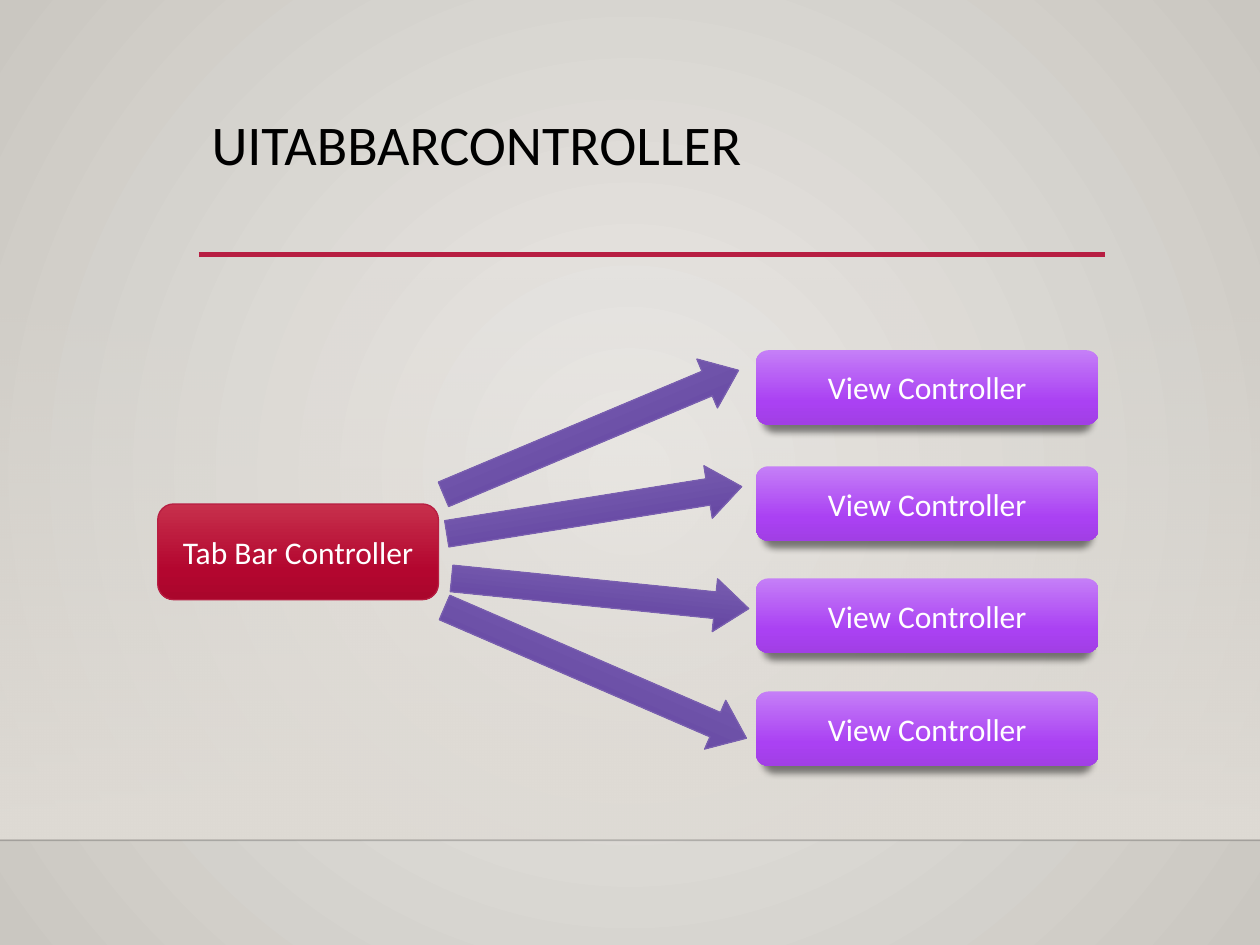
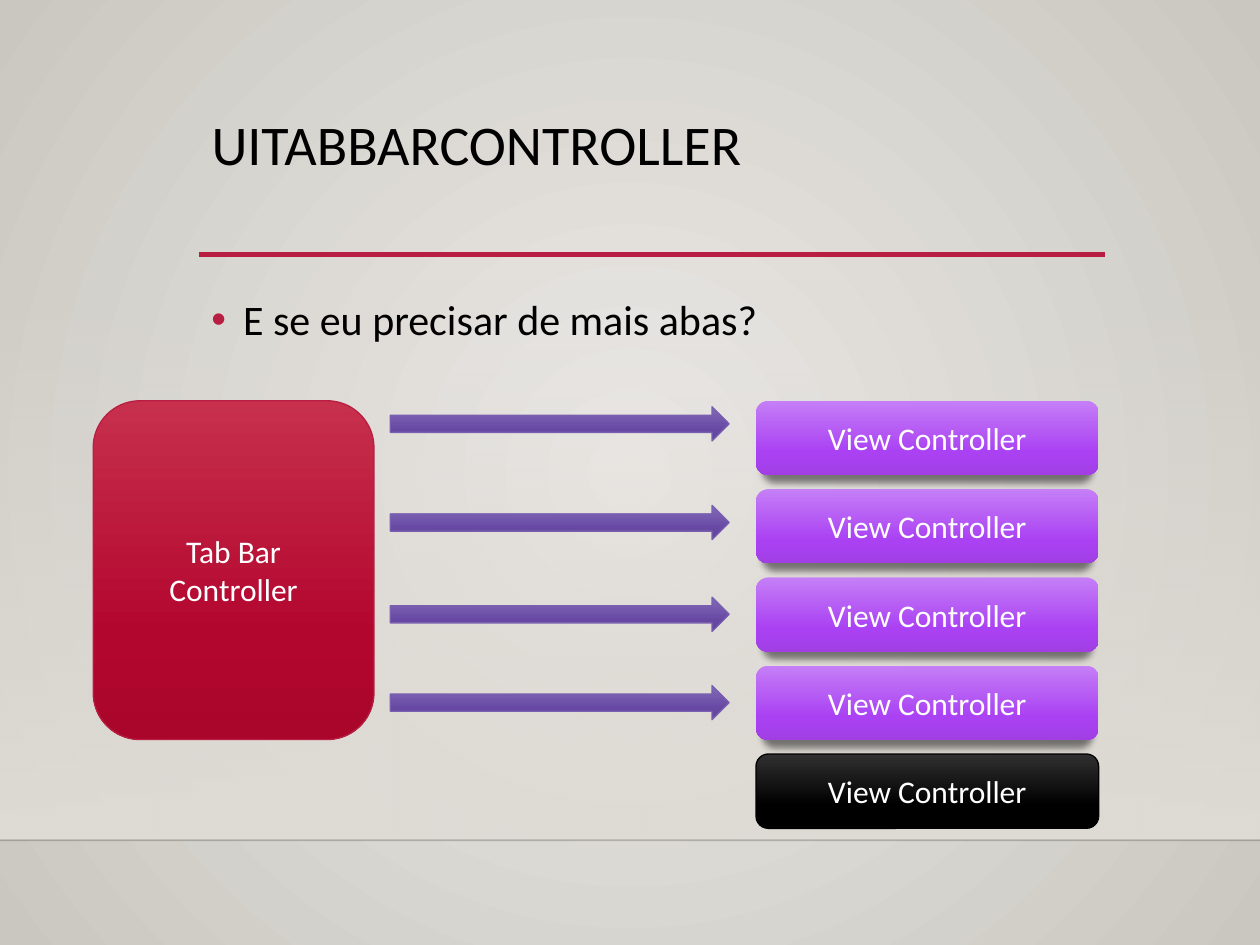
from dataclasses import dataclass

from pptx import Presentation
from pptx import util as u
from pptx.dml.color import RGBColor
from pptx.enum import shapes, text
from pptx.oxml import ns, parse_xml


@dataclass(frozen=True)
class Theme:
    font: str = "Calibri"
    ink: str = "000000"
    paper: str = "FFFFFF"
    accent: str = "B71E42"
    arrow_edge: str = "795FAF"
    floor: str = "000001"
    backdrop: tuple = ((0, "ECEAE7"), (100, "CAC7C1"))
    band: tuple = ((0, "DFDBD5", 0), (100, "DFDBD5"))
    red: tuple = ((0, "C7304C"), (69, "B3062F"), (100, "AA062C"))
    purple: tuple = ((0, "C57FF7"), (69, "AA41F3"), (100, "A13FE5"))
    violet: tuple = ((0, "836AB8"), (69, "6648A3"), (100, "60459A"))
    black: tuple = ((0, "303030"), (69, "000000"), (100, "000000"))
    title_size: int = 32
    body_size: int = 24
    label_size: int = 18


DOWN = '<a:lin ang="5400000" scaled="0"/>'
FROM_CENTRE = ('<a:path path="circle"><a:fillToRect l="50000" t="50000" '
               'r="50000" b="50000"/></a:path>')


def drawing(xml):
    head, tail = xml.split(">", 1)
    slash = "/" if head.endswith("/") else ""
    return parse_xml(f"{head.rstrip('/')} {ns.nsdecls('a')}{slash}>{tail}")


def apply(target, values):
    for name, value in values.items():
        setattr(target, name, value)


def paint(fill, owner, stops, direction=DOWN):
    def stop(position, colour, alpha=100):
        return (f'<a:gs pos="{position * 1000}"><a:srgbClr val="{colour}">'
                f'<a:alpha val="{alpha * 1000}"/></a:srgbClr></a:gs>')

    fill.solid()
    gradient = drawing('<a:gradFill rotWithShape="1"><a:gsLst>'
                       + "".join(stop(*s) for s in stops)
                       + f"</a:gsLst>{direction}</a:gradFill>")
    owner.replace(owner.find(ns.qn("a:solidFill")), gradient)


class Deck:
    def __init__(self, theme):
        self.theme = theme
        self.show = Presentation()
        apply(self.show, {"slide_width": u.Cm(25.4), "slide_height": u.Cm(19.05)})
        backdrop = self.show.slide_master.background
        backdrop.fill.solid()
        properties = self.show.slide_master.element.cSld.find(
            f"{ns.qn('p:bg')}/{ns.qn('p:bgPr')}")
        paint(backdrop.fill, properties, theme.backdrop, FROM_CENTRE)
        self.slide = None

    def page(self, heading):
        self.slide = self.show.slides.add_slide(self.show.slide_layouts[5])
        self.shape(shapes.MSO_SHAPE.RECTANGLE, (0, 5.59, 25.4, 11.34), self.theme.band)
        self.line(0, 25.4, 16.94, self.theme.floor, 1, alpha=20)
        self.line(4.01, 22.28, 5.13, self.theme.accent, 2.5)
        title = self.slide.shapes.title
        apply(title, dict(zip(("left", "top", "width", "height"),
                              map(u.Cm, (4.01, 2.24, 18.26, 2.92)))))
        self.label(title, heading, self.theme.title_size, self.theme.ink,
                   {"alignment": text.PP_ALIGN.LEFT, "line_spacing": 0.9},
                   text.MSO_ANCHOR.TOP)

    def label(self, holder, words, size, colour, layout, anchor):
        frame = holder.text_frame
        frame.text = words
        apply(frame, {"word_wrap": True, "vertical_anchor": anchor,
                      "auto_size": text.MSO_AUTO_SIZE.NONE})
        paragraph = frame.paragraphs[0]
        apply(paragraph, layout)
        font = paragraph.runs[0].font
        apply(font, {"name": self.theme.font, "size": u.Pt(size)})
        font.color.rgb = RGBColor.from_string(colour)
        return paragraph

    def line(self, left, right, y, colour, width, alpha=100):
        rule = self.slide.shapes.add_connector(
            shapes.MSO_CONNECTOR.STRAIGHT, *map(u.Cm, (left, y, right, y)))
        rule.line.width = u.Pt(width)
        rule.line.color.rgb = RGBColor.from_string(colour)
        tint = next(rule._element.spPr.iter(ns.qn("a:srgbClr")))
        tint.append(drawing(f'<a:alpha val="{alpha * 1000}"/>'))
        rule._element.spPr.append(drawing("<a:effectLst/>"))

    def shape(self, kind, place, stops, edge=None, parent=None):
        owner = parent or self.slide
        item = owner.shapes.add_shape(kind, *map(u.Cm, place))
        item.shadow.inherit = False
        paint(item.fill, item._element.spPr, stops)
        if edge:
            item.line.width = u.Pt(0.75)
            item.line.color.rgb = RGBColor.from_string(edge)
        else:
            item.line.fill.background()
        return item

    def box(self, words, place, stops, edge=None, parent=None):
        item = self.shape(shapes.MSO_SHAPE.ROUNDED_RECTANGLE, place, stops, edge, parent)
        self.label(item, words, self.theme.label_size, self.theme.paper,
                   {"alignment": text.PP_ALIGN.CENTER}, text.MSO_ANCHOR.MIDDLE)
        return item

    def tab_bar(self, *place):
        self.box("Tab Bar Controller", place, self.theme.red, self.theme.accent)

    def view(self, top, parent=None):
        item = self.box("View Controller", (15.24, top, 6.91, 1.5),
                        self.theme.purple, parent=parent)
        item._element.spPr.find(ns.qn("a:effectLst")).append(drawing(
            '<a:outerShdw blurRad="50800" dist="50800" dir="5400000" sx="96000" '
            'sy="96000" rotWithShape="0"><a:srgbClr val="000000">'
            '<a:alpha val="48000"/></a:srgbClr></a:outerShdw>'))

    def extra_view(self, top):
        self.box("View Controller", (15.24, top, 6.91, 1.5),
                 self.theme.black, self.theme.ink)

    def arrow(self, place, turn=0, head=0.5, parent=None):
        item = self.shape(shapes.MSO_SHAPE.RIGHT_ARROW, place, self.theme.violet,
                          self.theme.arrow_edge, parent)
        item.rotation = turn
        item.adjustments[1] = head

    def bullet(self, words):
        body = self.slide.shapes.add_textbox(*map(u.Cm, (4.01, 5.59, 18.26, 9.58)))
        paragraph = self.label(body, words, self.theme.body_size, self.theme.ink,
                               {"line_spacing": 1.2, "space_before": u.Pt(10)},
                               text.MSO_ANCHOR.TOP)
        properties = paragraph._p.get_or_add_pPr()
        indent = u.Cm(0.64)
        properties.set("marL", str(indent))
        properties.set("indent", str(-indent))
        for mark in (f'<a:buClr><a:srgbClr val="{self.theme.accent}"/></a:buClr>',
                     '<a:buFont typeface="Arial"/>', '<a:buChar char="•"/>'):
            properties.append(drawing(mark))


def fan_of_views(deck):
    deck.page("UITABBARCONTROLLER")
    deck.tab_bar(3.18, 10.16, 5.66, 1.93)
    branches = ((7.06, 8.69, 8.18, 6.45, 337.2),
                (9.4, 8.97, 9.75, 6.02, 350.9),
                (11.66, 9.09, 11.43, 6.02, 5.8),
                (13.94, 8.69, 13.03, 6.63, 23.4))
    for view_top, left, top, length, turn in branches:
        deck.view(view_top)
        deck.arrow((left, top, length, 1.07), turn, head=0.64)


def more_tabs(deck):
    deck.page("UITABBARCONTROLLER")
    deck.bullet("E se eu precisar de mais abas?")
    deck.tab_bar(1.88, 8.08, 5.66, 6.83)
    first_view, pitch = 8.08, 1.78
    arrow_tops = (8.2, 10.19, 12.04, 13.82)
    deck.extra_view(first_view + len(arrow_tops) * pitch)
    for row, arrow_top in enumerate(arrow_tops):
        tab = deck.slide.shapes.add_group_shape()
        deck.view(first_view + row * pitch, tab)
        deck.arrow((7.87, arrow_top, 6.83, 0.69), parent=tab)


def main():
    deck = Deck(Theme())
    fan_of_views(deck)
    more_tabs(deck)
    deck.show.save("out.pptx")


if __name__ == "__main__":
    main()
